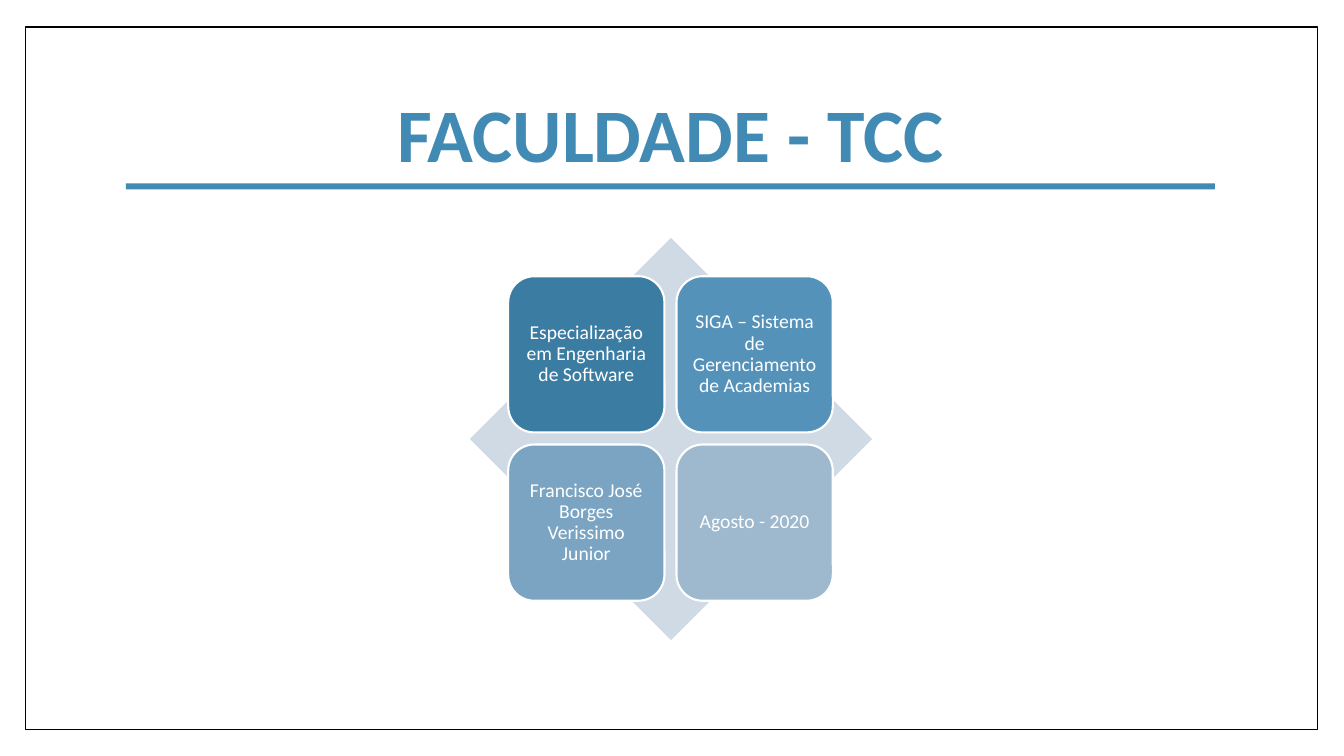
from pptx import Presentation
from pptx.dml.color import RGBColor
from pptx.enum.shapes import MSO_SHAPE
from pptx.enum.text import MSO_ANCHOR, PP_ALIGN
from pptx.util import Inches, Pt

RECTANGLE = MSO_SHAPE.RECTANGLE
ROUNDED = MSO_SHAPE.ROUNDED_RECTANGLE
DIAMOND = MSO_SHAPE.DIAMOND
MIDDLE = MSO_ANCHOR.MIDDLE
CENTER = PP_ALIGN.CENTER

TITLE = "FACULDADE - TCC"
TILES = [
    ("Especialização em Engenharia de Software", "3B7DA2"),
    ("SIGA – Sistema de Gerenciamento de Academias", "5492B9"),
    ("Francisco José Borges Verissimo Junior", "7AA4C2"),
    ("Agosto - 2020", "9EB8CE"),
]

THEME = {
    "font": "Calibri",
    "title_size": 54,
    "tile_size": 14,
    "accent": "418AB3",
    "diamond": "CFDAE5",
    "white": "FFFFFF",
    "black": "000000",
}

SLIDE_WIDTH, SLIDE_HEIGHT = 13.33, 7.5
FRAME = (0.25, 0.27, 12.82, 6.97)
TITLE_AREA = (1.25, 0.88, 10.8, 0.97)
TITLE_RULE = (1.25, 1.82, 10.8, 0.06)
MATRIX = (4.66, 2.36, 3.99, 3.99)
TILE_SIDE = 1.55
TILE_STEP = 1.67
TILE_LEFT, TILE_TOP = 5.04, 2.74
COLUMNS = 2


def add_block(page, kind, area, fill, line=None, line_width=1):
    block = page.shapes.add_shape(kind, *map(Inches, area))
    block.shadow.inherit = False
    block.fill.solid()
    block.fill.fore_color.rgb = RGBColor.from_string(fill)
    if line:
        block.line.color.rgb = RGBColor.from_string(line)
        block.line.width = Pt(line_width)
    else:
        block.line.fill.background()
    return block


def write_text(box, text, *, size, color, bold=False, inset=0.1, space_after=0):
    frame = box.text_frame
    frame.word_wrap = True
    frame.vertical_anchor = MIDDLE
    frame.margin_left = frame.margin_right = Inches(inset)
    frame.margin_top = frame.margin_bottom = Inches(min(inset, 0.06))
    para = frame.paragraphs[0]
    para.alignment = CENTER
    para.line_spacing = 0.9
    para.space_after = Pt(space_after)
    span = para.add_run()
    span.text = text
    span.font.name = THEME["font"]
    span.font.size = Pt(size)
    span.font.bold = bold
    span.font.color.rgb = RGBColor.from_string(color)


def add_matrix(page):
    """Draw the diamond with the tiles laid over it, row by row."""
    add_block(page, DIAMOND, MATRIX, THEME["diamond"])
    for index, (text, fill) in enumerate(TILES):
        row, column = divmod(index, COLUMNS)
        area = (TILE_LEFT + column * TILE_STEP, TILE_TOP + row * TILE_STEP,
                TILE_SIDE, TILE_SIDE)
        tile = add_block(page, ROUNDED, area, fill, THEME["white"], 1.5)
        write_text(tile, text, size=THEME["tile_size"], color=THEME["white"],
                   inset=0.06, space_after=5)


def main():
    deck = Presentation()
    deck.slide_width = Inches(SLIDE_WIDTH)
    deck.slide_height = Inches(SLIDE_HEIGHT)
    page = deck.slides.add_slide(deck.slide_layouts[6])

    add_block(page, RECTANGLE, FRAME, THEME["white"], THEME["black"])
    title = page.shapes.add_textbox(*map(Inches, TITLE_AREA))
    write_text(title, TITLE, size=THEME["title_size"], color=THEME["accent"],
               bold=True)
    add_matrix(page)
    add_block(page, RECTANGLE, TITLE_RULE, THEME["accent"])
    deck.save("out.pptx")


if __name__ == "__main__":
    main()
